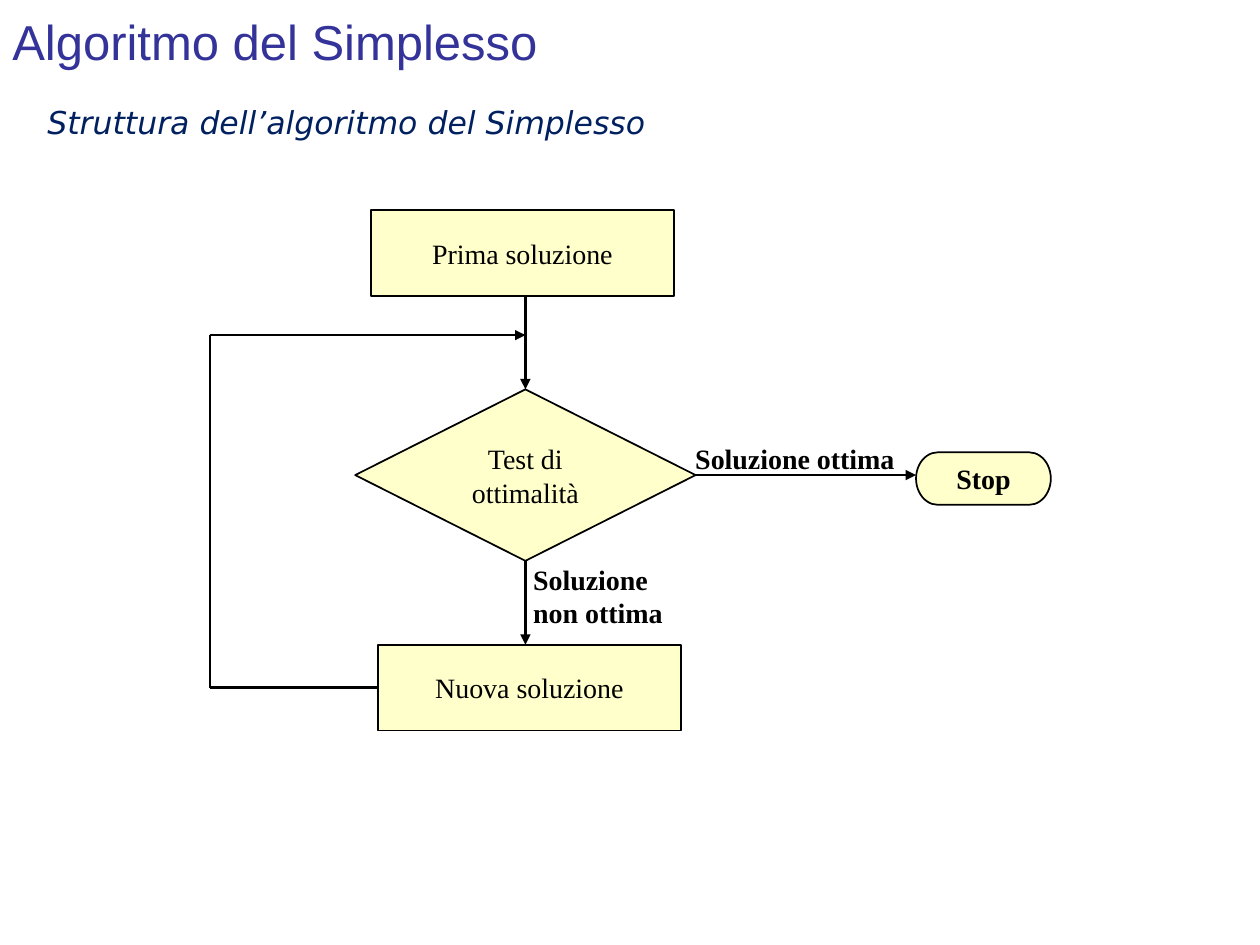
import pptx
import pptx.util
import pptx.dml.color
import pptx.enum.shapes
import pptx.enum.text
import pptx.oxml.ns
import lxml.etree

Pt = pptx.util.Pt
RGBColor = pptx.dml.color.RGBColor
Shape = pptx.enum.shapes.MSO_SHAPE
Align = pptx.enum.text.PP_ALIGN
Anchor = pptx.enum.text.MSO_ANCHOR

INDIGO = RGBColor(0x33, 0x33, 0x99)
NAVY = RGBColor(0x00, 0x20, 0x60)
CREAM = RGBColor(0xFF, 0xFF, 0xCC)
BLACK = RGBColor(0x00, 0x00, 0x00)

TOP, LEFT, BOTTOM, RIGHT = range(4)


def write(frame, lines, font, size, color, align=Align.LEFT, bold=False, italic=False):
    frame.word_wrap = True
    frame.vertical_anchor = Anchor.MIDDLE
    for index, line in enumerate(lines):
        para = frame.add_paragraph() if index else frame.paragraphs[0]
        para.alignment = align
        span = para.add_run()
        span.text = line
        span.font.name = font
        span.font.size = Pt(size)
        span.font.color.rgb = color
        span.font.bold = bold
        span.font.italic = italic


def add_heading(page, box, text, font, size, color, italic=False):
    frame = page.shapes.add_textbox(*map(Pt, box)).text_frame
    write(frame, [text], font, size, color, italic=italic)


def add_node(page, kind, box, lines):
    node = page.shapes.add_shape(kind, *map(Pt, box))
    node.shadow.inherit = False
    node.fill.solid()
    node.fill.fore_color.rgb = CREAM
    node.line.color.rgb = BLACK
    node.line.width = Pt(1)
    bold = kind == Shape.FLOWCHART_TERMINATOR
    if bold:
        tighten(node.text_frame)
    write(node.text_frame, lines, "Times New Roman", 16, BLACK, Align.CENTER, bold)
    return node


def add_label(page, box, lines, align):
    label = page.shapes.add_shape(Shape.FLOWCHART_TERMINATOR, *map(Pt, box))
    label.shadow.inherit = False
    label.fill.background()
    label.line.fill.background()
    tighten(label.text_frame)
    write(label.text_frame, lines, "Times New Roman", 16, BLACK, align, bold=True)


def tighten(frame):
    frame.margin_left = frame.margin_right = Pt(4.5)
    frame.margin_top = frame.margin_bottom = Pt(1)


def add_line(page, start, end, arrow=False):
    line = page.shapes.add_connector(
        pptx.enum.shapes.MSO_CONNECTOR.STRAIGHT, *map(Pt, start + end))
    line.line.color.rgb = BLACK
    line.line.width = Pt(1.5)
    if arrow:
        outline = line.line._get_or_add_ln()
        lxml.etree.SubElement(outline, pptx.oxml.ns.qn("a:tailEnd"), type="triangle")
    lxml.etree.SubElement(line._element.spPr, pptx.oxml.ns.qn("a:effectLst"))
    return line


def add_flowchart(page, box):
    left, top, width, height = box
    step_width, step_height = 173, 49
    test_width, test_height = 194.5, 98
    test_left, test_top = left + 83, top + 102.5
    axis = test_left + test_width / 2
    test_middle = test_top + test_height / 2
    stop_width, stop_height = 77, 30
    stop_left = left + width - stop_width
    update_left, update_top = left + 96, top + height - step_height
    update_middle = update_top + step_height / 2
    loop_top = top + 71.5

    # Nodes
    add_node(page, Shape.RECTANGLE, (left + 92, top, step_width, step_height),
             ["Prima soluzione"])
    test = add_node(page, Shape.FLOWCHART_DECISION,
                    (test_left, test_top, test_width, test_height),
                    ["Test di", "ottimalità"])
    add_node(page, Shape.FLOWCHART_TERMINATOR,
             (stop_left, top + 138.5, stop_width, stop_height), ["Stop"])
    update = add_node(page, Shape.RECTANGLE,
                      (update_left, update_top, step_width, step_height),
                      ["Nuova soluzione"])

    # Downward and rightward flow
    enter = add_line(page, (axis, top + step_height), (axis, test_top), arrow=True)
    enter.end_connect(test, TOP)
    finish = add_line(page, (test_left + test_width, test_middle),
                      (stop_left, test_middle), arrow=True)
    finish.begin_connect(test, RIGHT)
    improve = add_line(page, (axis, test_top + test_height),
                       (axis, update_top), arrow=True)
    improve.begin_connect(test, BOTTOM)

    # Loop back to the test
    back = add_line(page, (update_left, update_middle), (left, update_middle))
    back.begin_connect(update, LEFT)
    add_line(page, (left, update_middle), (left, loop_top))
    add_line(page, (left, loop_top), (axis, loop_top), arrow=True)

    # Branch labels
    add_label(page, (left + 253.5, top + 127, 161.5, 30),
              ["Soluzione ottima"], Align.CENTER)
    add_label(page, (left + 172.5, top + 191, 161.5, 59),
              ["Soluzione", "non ottima"], Align.LEFT)


def main():
    deck = pptx.Presentation()
    deck.slide_width, deck.slide_height = Pt(720), Pt(540)
    page = deck.slides.add_slide(deck.slide_layouts[6])
    add_heading(page, (0, -2, 648, 51), "Algoritmo del Simplesso",
                "Arial", 28, INDIGO)
    add_heading(page, (20, 55, 613.5, 29), "Struttura dell’algoritmo del Simplesso",
                "DejaVu Sans", 18, NAVY, italic=True)
    add_flowchart(page, (120, 120, 480.5, 297.5))
    deck.save("out.pptx")


if __name__ == "__main__":
    main()
